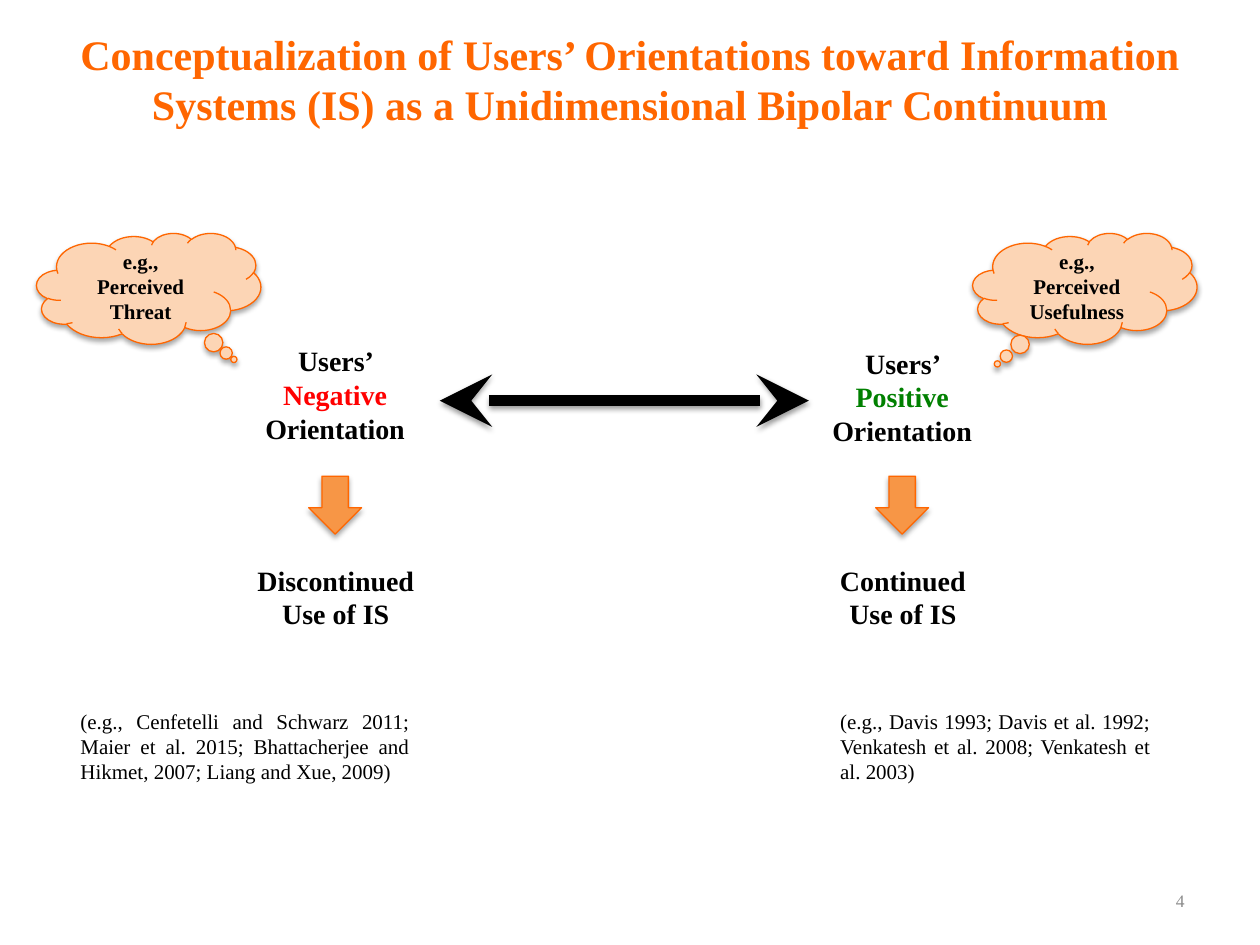
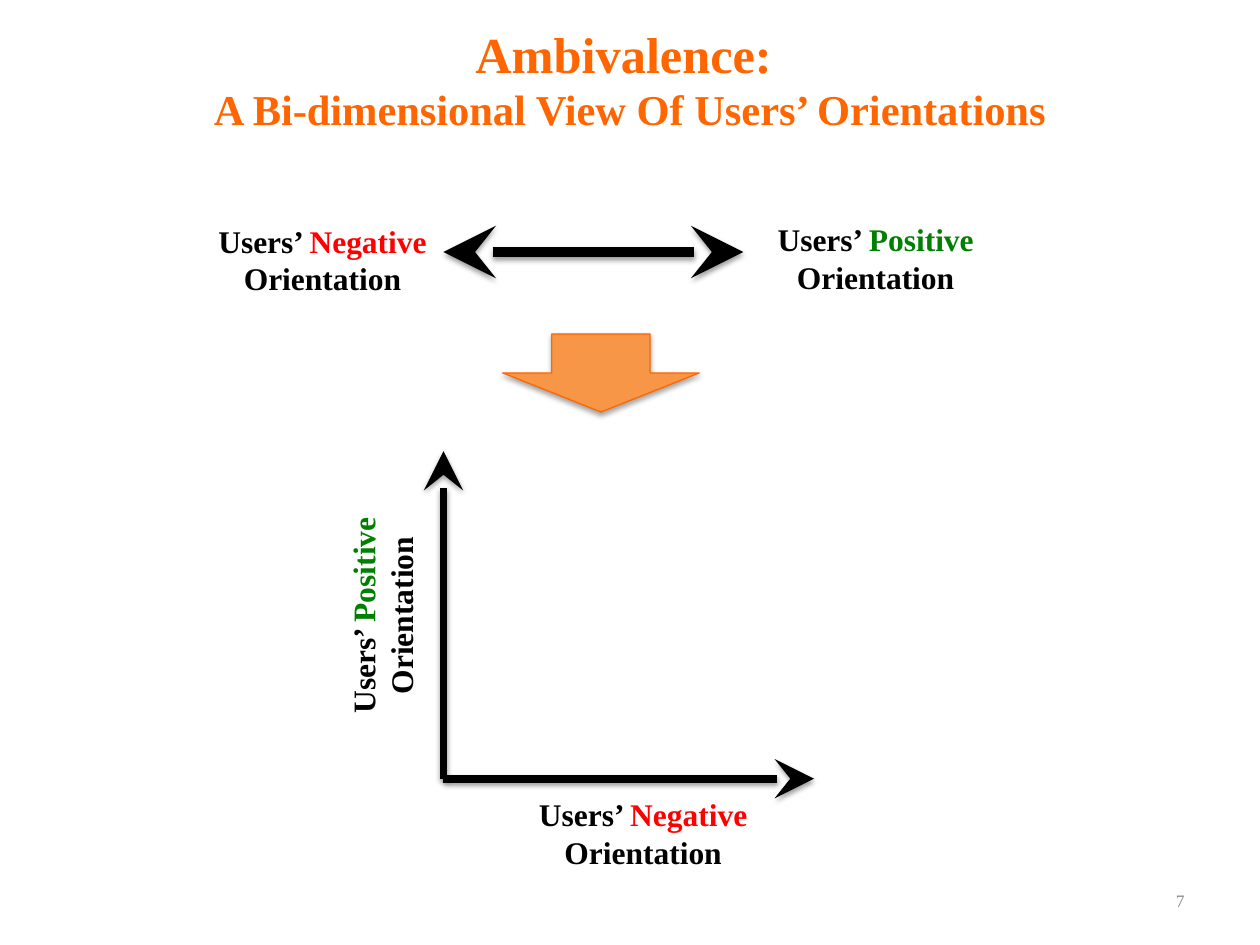
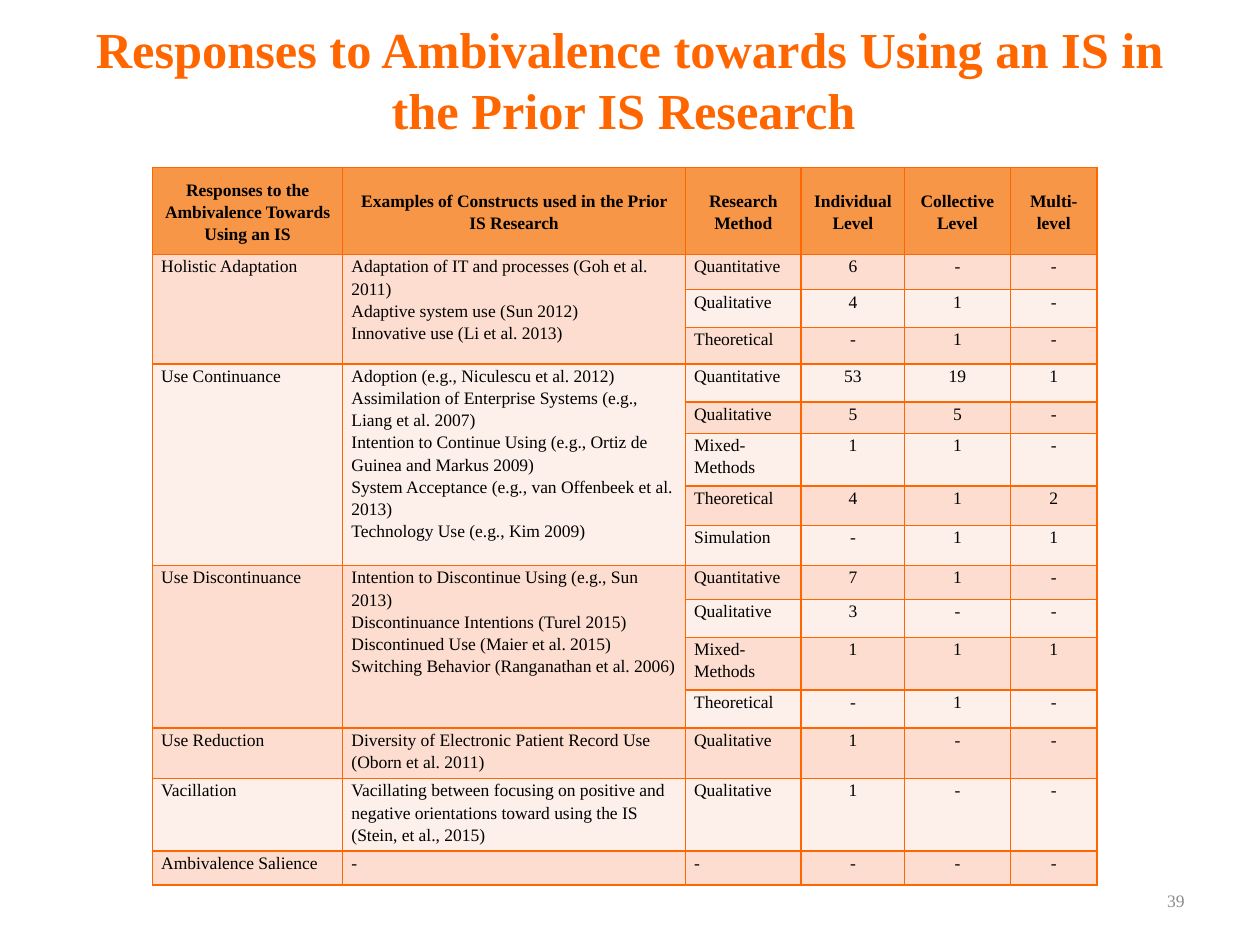
import copy

import lxml.etree
import pptx
import pptx.dml.color
import pptx.enum.shapes
import pptx.enum.text
import pptx.oxml.ns
import pptx.util

PX = 9144  # EMU in one px: 100 px to the inch
FONT = "Times New Roman"
ORANGE = "FF6600"
ARROW_FILL = "F79646"
CLOUD_FILL = "FCD5B5"
BLACK = "000000"
GREY = "8C8C8C"
BANDS = ["FDEFE9", "FCDDCF"]
POLES = {"Negative": "FF0000", "Positive": "008000"}

SHAPE = pptx.enum.shapes.MSO_SHAPE
ALIGN = pptx.enum.text.PP_ALIGN
MIDDLE = pptx.enum.text.MSO_ANCHOR.MIDDLE
AUTO_SIZE = pptx.enum.text.MSO_AUTO_SIZE

HEADINGS = [
    "Responses to the Ambivalence Towards Using an IS",
    "Examples of Constructs used in the Prior IS Research",
    "Research Method", "Individual Level", "Collective Level", "Multi-level",
]
COLUMN_WIDTHS = [151, 272, 92, 82, 84, 69]
ROW_HEIGHTS = [69, 28, 30, 29, 30, 25, 42, 31, 32, 27, 30, 42, 30, 40, 27, 27]

# Response, constructs, then method with individual, collective and multi-level counts
RESPONSES = [
    ("Holistic Adaptation",
     ["Adaptation of IT and processes (Goh et al. 2011)",
      "Adaptive system use (Sun 2012)",
      "Innovative use (Li et al. 2013)"],
     ["Quantitative 6 - -", "Qualitative 4 1 -", "Theoretical - 1 -"]),
    ("Use Continuance",
     ["Adoption (e.g., Niculescu et al. 2012)",
      "Assimilation of Enterprise Systems (e.g., Liang et al. 2007)",
      "Intention to Continue Using (e.g., Ortiz de Guinea and Markus 2009)",
      "System Acceptance (e.g., van Offenbeek et al. 2013)",
      "Technology Use (e.g., Kim 2009)"],
     ["Quantitative 53 19 1", "Qualitative 5 5 -", "Mixed-Methods 1 1 -",
      "Theoretical 4 1 2", "Simulation - 1 1"]),
    ("Use Discontinuance",
     ["Intention to Discontinue Using (e.g., Sun 2013)",
      "Discontinuance Intentions (Turel 2015)",
      "Discontinued Use (Maier et al. 2015)",
      "Switching Behavior (Ranganathan et al. 2006)"],
     ["Quantitative 7 1 -", "Qualitative 3 - -", "Mixed-Methods 1 1 1",
      "Theoretical - 1 -"]),
    ("Use Reduction",
     ["Diversity of Electronic Patient Record Use (Oborn et al. 2011)"],
     ["Qualitative 1 - -"]),
    ("Vacillation",
     ["Vacillating between focusing on positive and negative orientations "
      "toward using the IS (Stein, et al., 2015)"],
     ["Qualitative 1 - -"]),
    ("Ambivalence Salience", ["-"], ["- - - -"]),
]


# Shared helpers

def rgb(color):
    return pptx.dml.color.RGBColor.from_string(color)


def emu(*lengths):
    return [pptx.util.Emu(length * PX) for length in lengths]


def child(parent, tag, **attributes):
    return lxml.etree.SubElement(parent, pptx.oxml.ns.qn(tag), attributes)


def format_run(run, size, color=BLACK, bold=True):
    run.font.name = FONT
    run.font.size = pptx.util.Pt(size)
    run.font.bold = bold
    run.font.color.rgb = rgb(color)


def write(paragraph, text, size, color=BLACK, bold=True, align=ALIGN.CENTER):
    paragraph.text = text
    paragraph.alignment = align
    format_run(paragraph.runs[0], size, color, bold)


def text_box(slide, box):
    area = slide.shapes.add_textbox(*emu(*box))
    area.text_frame.word_wrap = True
    return area


def growing_text(slide, box, text, size, **style):
    area = text_box(slide, box)
    area.text_frame.auto_size = AUTO_SIZE.SHAPE_TO_FIT_TEXT
    write(area.text_frame.paragraphs[0], text, size, **style)
    return area


def drop_shadow(item, opacity, distance):
    effects = child(item._element.spPr, "a:effectLst")
    shadow = child(effects, "a:outerShdw", blurRad=str(pptx.util.Pt(3.1)),
                   dist=str(pptx.util.Pt(distance)), dir="5400000",
                   algn="ctr", rotWithShape="0")
    child(child(shadow, "a:srgbClr", val=BLACK), "a:alpha", val=str(opacity * 1000))


def orange_shape(slide, preset, box, fill):
    shape = slide.shapes.add_shape(preset, *emu(*box))
    shape.fill.solid()
    shape.fill.fore_color.rgb = rgb(fill)
    shape.line.color.rgb = rgb(ORANGE)
    shape.line.width = pptx.util.Pt(0.75)
    drop_shadow(shape, 35, 1.8)
    return shape


def arrow(slide, start, end, width, both_ends=False):
    line = slide.shapes.add_connector(
        pptx.enum.shapes.MSO_CONNECTOR.STRAIGHT, *emu(*start, *end))
    line.line.color.rgb = rgb(BLACK)
    line.line.width = pptx.util.Pt(width)
    for tag in ["a:headEnd", "a:tailEnd"] if both_ends else ["a:tailEnd"]:
        child(line.line._ln, tag, type="stealth", w="lg", len="lg")
    drop_shadow(line, 38, 1.6)


def orientation_label(slide, box, pole, size):
    label = growing_text(slide, box, "Users’ ", size)
    for text, color in [(pole, POLES[pole]), (" Orientation", BLACK)]:
        run = label.text_frame.paragraphs[0].add_run()
        run.text = text
        format_run(run, size, color)
    return label


def titled_slide(deck, number, title_lines):
    slide = deck.slides.add_slide(deck.slide_layouts[5])
    # Title, one (text, size) pair a line
    title = slide.shapes.title
    title.left, title.top, title.width, title.height = emu(50, 16, 900, 93)
    frame = title.text_frame
    frame.auto_size = AUTO_SIZE.NONE
    frame.vertical_anchor = MIDDLE
    heading = frame.paragraphs[0]
    write(heading, *title_lines[0], color=ORANGE)
    for text, size in title_lines[1:]:
        last_format = heading.runs[-1]._r.rPr
        heading.add_line_break()
        heading._p[-1].append(copy.deepcopy(last_format))
        run = heading.add_run()
        run.text = text
        format_run(run, size, ORANGE)
    # Page number
    page = text_box(slide, (717, 695, 233, 40)).text_frame
    page.vertical_anchor = MIDDLE
    write(page.paragraphs[0], str(number), 10, GREY, False, ALIGN.RIGHT)
    return slide


# Slide 1: one end of the continuum, centred on an axis

def continuum_end(slide, axis, top, pole, label_width, outcome, outcome_width):
    orientation_label(slide, (axis - label_width // 2, top, label_width, 91), pole, 16)
    orange_shape(slide, SHAPE.DOWN_ARROW, (axis - 21, 378, 42, 46), ARROW_FILL)
    growing_text(slide, (axis - outcome_width // 2, 442, outcome_width, 64), outcome, 16)


def thought(slide, left, text, tail):
    cloud = orange_shape(slide, SHAPE.CLOUD_CALLOUT, (left, 185, 178, 88), CLOUD_FILL)
    cloud.adjustments[0], cloud.adjustments[1] = tail
    cloud.text_frame.vertical_anchor = MIDDLE
    write(cloud.text_frame.paragraphs[0], text, 12)


def citations(slide, left, width, text):
    growing_text(slide, (left, 557, width, 71), text, 12, bold=False, align=ALIGN.JUSTIFY)


def continuum_slide(deck):
    slide = titled_slide(deck, 4, [(
        "Conceptualization of Users’ Orientations toward Information Systems (IS) "
        "as a Unidimensional Bipolar Continuum", 24)])
    arrow(slide, (349, 318), (642, 318), 6, both_ends=True)
    continuum_end(slide, 266, 268, "Negative", 160, "Discontinued Use of IS", 167)
    continuum_end(slide, 716, 270, "Positive", 142, "Continued Use of IS", 145)
    thought(slide, 29, "e.g., Perceived Threat", (0.38, 0.64))
    thought(slide, 772, "e.g., Perceived Usefulness", (-0.39, 0.68))
    citations(slide, 54, 281, "(e.g., Cenfetelli and Schwarz 2011; Maier et al. 2015; "
              "Bhattacherjee and Hikmet, 2007; Liang and Xue, 2009)")
    citations(slide, 657, 266, "(e.g., Davis 1993; Davis et al. 1992; "
              "Venkatesh et al. 2008; Venkatesh et al. 2003)")


# Slide 2: from one dimension to two

def one_dimension(slide, left, top):
    orientation_label(slide, (left, top + 1, 192, 71), "Negative", 18)
    arrow(slide, (left + 192, top + 30), (left + 430, top + 30), 6, both_ends=True)
    orientation_label(slide, (left + 441, top, 188, 71), "Positive", 18)


def two_dimensions(slide, left, top, width, height):
    origin = (left, top + height)
    arrow(slide, origin, (left + width, top + height), 4.5)
    arrow(slide, origin, (left, top), 4.5)
    orientation_label(slide, (left + 32, top + height + 8, 253, 71), "Negative", 18)
    upright = orientation_label(slide, (left - 178, top + 95, 259, 71), "Positive", 18)
    upright.rotation = 270


def ambivalence_slide(deck):
    slide = titled_slide(deck, 7, [
        ("Ambivalence: ", 28.8),
        ("A Bi-dimensional View Of Users’ Orientations", 24.3)])
    one_dimension(slide, 160, 170)
    orange_shape(slide, SHAPE.DOWN_ARROW, (399, 265, 156, 62), ARROW_FILL)
    two_dimensions(slide, 352, 358, 294, 260)


# Slide 3: table of responses

def style_cell(cell, fill):
    cell.margin_left, cell.margin_right = emu(7, 7)
    cell.margin_top = cell.margin_bottom = 0
    properties = cell._tc.get_or_add_tcPr()
    for side in ["a:lnL", "a:lnR", "a:lnT", "a:lnB"]:
        border = child(properties, side, w=str(pptx.util.Pt(1)))
        child(child(border, "a:solidFill"), "a:srgbClr", val=ORANGE)
    cell.fill.solid()
    cell.fill.fore_color.rgb = rgb(fill)


def fill_cell(cell, lines, bold=False, align=ALIGN.LEFT):
    frame = cell.text_frame
    for index, line in enumerate(lines):
        paragraph = frame.add_paragraph() if index else frame.paragraphs[0]
        write(paragraph, line, 10, bold=bold, align=align)
        paragraph.line_spacing = 1.15


def responses_table(slide, left, top):
    box = (left, top, sum(COLUMN_WIDTHS), sum(ROW_HEIGHTS))
    table = slide.shapes.add_table(
        len(ROW_HEIGHTS), len(COLUMN_WIDTHS), *emu(*box)).table
    table.first_row = table.horz_banding = False
    for column, width in zip(table.columns, emu(*COLUMN_WIDTHS)):
        column.width = width
    for index, (row, height) in enumerate(zip(table.rows, emu(*ROW_HEIGHTS))):
        row.height = height
        for cell in row.cells:
            style_cell(cell, BANDS[index % 2] if index else ARROW_FILL)

    # Header row
    for cell, heading in zip(table.rows[0].cells, HEADINGS):
        fill_cell(cell, [heading], bold=True, align=ALIGN.CENTER)
        cell.vertical_anchor = MIDDLE

    # One block of rows for each response
    first = 1
    for response, constructs, methods in RESPONSES:
        last = first + len(methods) - 1
        for column, lines in enumerate([[response], constructs]):
            if last > first:
                table.cell(first, column).merge(table.cell(last, column))
            fill_cell(table.cell(first, column), lines)
        for row, counts in enumerate(methods, first):
            for column, value in enumerate(counts.split(), 2):
                align = ALIGN.LEFT if column == 2 else ALIGN.CENTER
                fill_cell(table.cell(row, column), [value], align=align)
        first = last + 1


def responses_slide(deck):
    slide = titled_slide(deck, 39, [(
        "Responses to Ambivalence towards Using an IS in the Prior IS Research ", 28.8)])
    responses_table(slide, 121, 133)


def main():
    deck = pptx.Presentation()
    deck.slide_width, deck.slide_height = emu(1000, 750)
    continuum_slide(deck)
    ambivalence_slide(deck)
    responses_slide(deck)
    deck.save("out.pptx")


if __name__ == "__main__":
    main()
